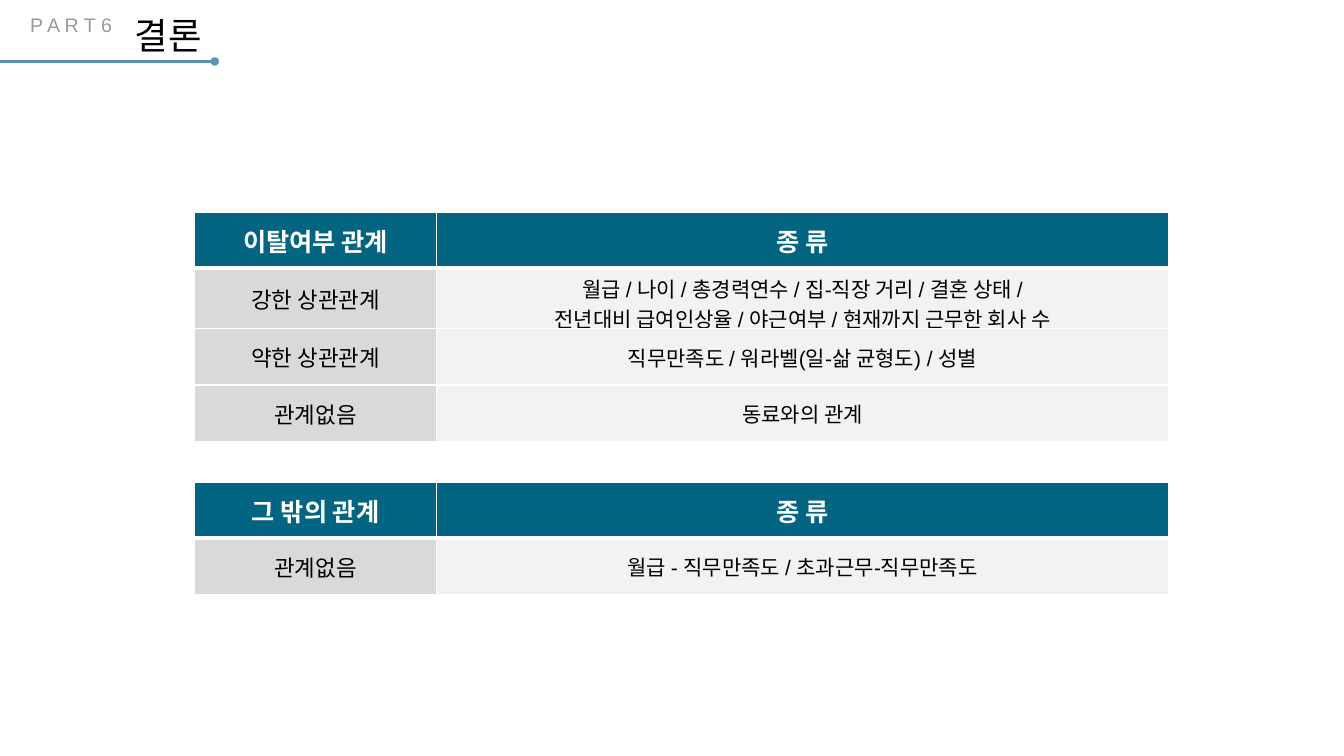
import pptx
import pptx.util
import pptx.dml.color
import pptx.enum.shapes
import pptx.enum.text
import pptx.oxml
import pptx.oxml.ns
from lxml import etree
from pptx.util import Inches

RGBColor = pptx.dml.color.RGBColor
TEAL = RGBColor(0x04, 0x65, 0x83)
RULE_BLUE = RGBColor(0x19, 0x64, 0x91)
LABEL_GRAY = RGBColor(0x99, 0x99, 0x99)
NAME_GRAY = RGBColor(0xD9, 0xD9, 0xD9)
KIND_GRAY = RGBColor(0xF2, 0xF2, 0xF2)
BLACK = RGBColor(0, 0, 0)
WHITE = RGBColor(0xFF, 0xFF, 0xFF)
qn = pptx.oxml.ns.qn


def write_text(frame, text, size, color, **formats):
    """Fill a text frame, one paragraph per line of text."""
    frame.text = text
    for paragraph in frame.paragraphs:
        if "alignment" in formats:
            paragraph.alignment = formats["alignment"]
        font = paragraph.runs[0].font
        font_values = {"name": "Arial", "size": pptx.util.Pt(size),
                       "bold": formats.get("bold", False)}
        for attribute, value in font_values.items():
            setattr(font, attribute, value)
        font.color.rgb = color


def add_borders(cell, bottom_width):
    """Put white borders before the fill of a cell."""
    properties = cell._tc.get_or_add_tcPr()
    widths = {"a:lnL": 1, "a:lnR": 1, "a:lnT": 1, "a:lnB": bottom_width}
    for position, (side, width) in enumerate(widths.items()):
        border = etree.Element(qn(side), w=str(pptx.util.Pt(width)))
        fill = etree.SubElement(border, qn("a:solidFill"))
        etree.SubElement(fill, qn("a:srgbClr"), val=str(WHITE))
        properties.insert(position, border)


presentation = pptx.Presentation()
presentation.slide_width = Inches(13.33)
presentation.slide_height = Inches(7.5)
slide = presentation.slides.add_slide(presentation.slide_layouts[6])

# Rule under the heading, ending in a dot
heading_rule = slide.shapes.add_connector(
    pptx.enum.shapes.MSO_CONNECTOR.STRAIGHT,
    Inches(0), Inches(0.61), Inches(2.13), Inches(0.61))
heading_rule.line.width = pptx.util.Pt(2)
heading_rule.line.color.rgb = RULE_BLUE
rule_properties = heading_rule._element.spPr
rule_color = rule_properties.find(".//" + qn("a:srgbClr"))
etree.SubElement(rule_color, qn("a:alpha"), val="70000")
etree.SubElement(rule_properties.find(qn("a:ln")), qn("a:tailEnd"), type="oval")
etree.SubElement(rule_properties, qn("a:effectLst"))

# Part label and heading
headings = [
    ("P A R T 6", 0.2, 1.08, 0.34, 14, LABEL_GRAY),
    ("결론", 1.24, 8.21, 0.54, 26, BLACK),
]
for text, left, width, height, size, color in headings:
    heading = slide.shapes.add_textbox(
        Inches(left), Inches(0.08), Inches(width), Inches(height))
    heading.text_frame.word_wrap = True
    heading.text_frame.auto_size = pptx.enum.text.MSO_AUTO_SIZE.SHAPE_TO_FIT_TEXT
    write_text(heading.text_frame, text, size, color)

# Relation tables: top edge and rows, header first
relation_tables = [
    (2.11, [
        ("이탈여부 관계", "종 류"),
        ("강한 상관관계",
         "월급 / 나이 / 총경력연수 / 집-직장 거리 / 결혼 상태 /\n"
         "전년대비 급여인상율 / 야근여부 / 현재까지 근무한 회사 수"),
        ("약한 상관관계", "직무만족도 / 워라벨(일-삶 균형도) / 성별"),
        ("관계없음", "동료와의 관계"),
    ]),
    (4.79, [
        ("그 밖의 관계", "종 류"),
        ("관계없음", "월급 - 직무만족도 / 초과근무-직무만족도"),
    ]),
]
column_widths = [2.4, 7.26]
body_styles = [(16, NAME_GRAY), (15, KIND_GRAY)]
for top, relations in relation_tables:
    row_heights = [0.55] + [0.56] * (len(relations) - 1)
    relation_table = slide.shapes.add_table(
        len(relations), 2, Inches(1.93), Inches(top),
        Inches(sum(column_widths)), Inches(sum(row_heights))).table
    for column, width in zip(relation_table.columns, column_widths):
        column.width = Inches(width)
    for r, relation in enumerate(relations):
        relation_table.rows[r].height = Inches(row_heights[r])
        is_header = r == 0
        for c, text in enumerate(relation):
            size, fill_color = (18, TEAL) if is_header else body_styles[c]
            cell = relation_table.cell(r, c)
            cell.vertical_anchor = pptx.enum.text.MSO_ANCHOR.MIDDLE
            cell.fill.solid()
            cell.fill.fore_color.rgb = fill_color
            write_text(cell.text_frame, text, size, WHITE if is_header else BLACK,
                       bold=is_header, alignment=pptx.enum.text.PP_ALIGN.CENTER)
            add_borders(cell, 3 if is_header else 1)

presentation.save("out.pptx")
